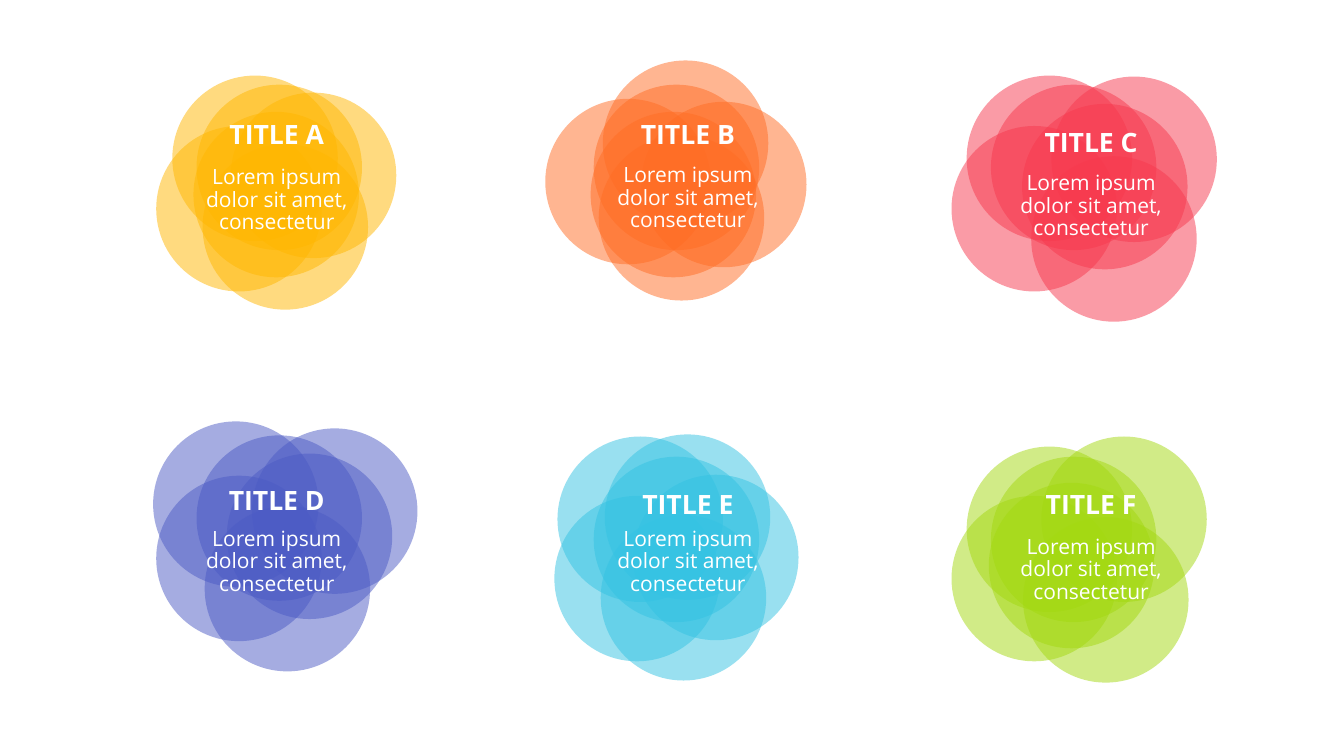
import pptx
import pptx.util
import pptx.dml.color
import pptx.enum.shapes
import pptx.enum.text
import pptx.oxml.ns
from dataclasses import dataclass
from lxml import etree

Pt = pptx.util.Pt
RGB = pptx.dml.color.RGBColor.from_string


@dataclass(frozen=True)
class Theme:
    """Colours, type sizes and font of the slide."""
    gold: str = "FFB700"
    orange: str = "FF6D24"
    red: str = "F7394E"
    blue: str = "4C5BC5"
    cyan: str = "34C3E3"
    lime: str = "A4D911"
    ink: str = "FFFFFF"
    font: str = "Open Sans"
    head: int = 19
    body: int = 15
    lead: float = 0.9
    alpha: int = 50


THEME = Theme()
DISC = 118.2
LEFT, TOP = 100, 40
STEP_X, STEP_Y = 284, 260
COLS = 3
HEAD_W, HEAD_H = 80, 31.7
BODY_W, BODY_H = 117.4, 62
TEXT_X = (39, 48.7, 52.7)
BLURB = "Lorem ipsum dolor sit amet, consectetur"

# title, colour, title top, body top, disc corners; all relative to the cell
BLOBS = [
    ("TITLE A", THEME.gold, 47.1, 75.2,
     [(40.4, 20.5), (64.9, 26.2), (11.6, 50), (23.1, 14), (38.2, 39.9), (44.7, 63)]),
    ("TITLE B", THEME.orange, 47.1, 73.8,
     [(40.1, 20.5), (73.9, 32.7), (5.5, 30.6), (46.6, 3.2), (37.9, 39.9), (43.7, 56.5)]),
    ("TITLE C", THEME.red, 52.9, 79.5,
     [(39.8, 20.5), (62.1, 34.2), (11.7, 50), (22.5, 14), (83, 14.7), (68.6, 71.6)]),
    ("TITLE D", THEME.blue, 48.5, 73.7,
     [(40.4, 11), (62, 24), (11.6, 39.8), (9.4, 1), (80, 6), (46.2, 61.4)]),
    ("TITLE E", THEME.cyan, 51.4, 73.7,
     [(40.1, 26.2), (68.2, 39.1), (12, 54.2), (14.2, 11.8), (48, 10.3), (45.1, 67.9)]),
    ("TITLE F", THEME.lime, 51.4, 79.4,
     [(39.8, 26.2), (75.8, 11.8), (11.7, 54.2), (22.5, 19), (38.3, 44.9), (62.8, 69.4)]),
]


def add_disc(slide, x, y, tint):
    """Add one half-clear disc with its corner at x, y."""
    disc = slide.shapes.add_shape(
        pptx.enum.shapes.MSO_SHAPE.OVAL, Pt(x), Pt(y), Pt(DISC), Pt(DISC))
    disc.shadow.inherit = False
    disc.line.fill.background()
    disc.fill.solid()
    disc.fill.fore_color.rgb = RGB(tint)
    qn = pptx.oxml.ns.qn
    clr = disc.element.spPr.find(qn("a:solidFill")).find(qn("a:srgbClr"))
    etree.SubElement(clr, qn("a:alpha"), val=str(THEME.alpha * 1000))


def add_text(slide, box, text, size, bold=False, pad=(0, 0)):
    """Add one centred paragraph in the given box."""
    frame = slide.shapes.add_textbox(*map(Pt, box)).text_frame
    frame.word_wrap = True
    frame.margin_left = frame.margin_right = Pt(pad[0])
    frame.margin_top = frame.margin_bottom = Pt(pad[1])
    para = frame.paragraphs[0]
    para.alignment = pptx.enum.text.PP_ALIGN.CENTER
    para.line_spacing = THEME.lead
    run = para.add_run()
    run.text = text
    run.font.name = THEME.font
    run.font.size = Pt(size)
    run.font.bold = bold
    run.font.color.rgb = RGB(THEME.ink)


def add_blob(slide, x, y, text_x, blob):
    """Add a cluster of discs, its title and body, in the cell at x, y."""
    title, tint, head_y, body_y, discs = blob
    for dx, dy in discs:
        add_disc(slide, x + dx, y + dy, tint)
    left = x + text_x
    inset = (BODY_W - HEAD_W) / 2
    add_text(slide, (left + inset, y + head_y, HEAD_W, HEAD_H),
             title, THEME.head, bold=True)
    add_text(slide, (left, y + body_y, BODY_W, BODY_H),
             BLURB, THEME.body, pad=(7.2, 3.6))


def build():
    """Build the slide as a grid of clusters and save it."""
    deck = pptx.Presentation()
    deck.slide_width, deck.slide_height = Pt(960), Pt(540)
    slide = deck.slides.add_slide(deck.slide_layouts[6])
    for i, blob in enumerate(BLOBS):
        row, col = divmod(i, COLS)
        add_blob(slide, LEFT + col * STEP_X, TOP + row * STEP_Y, TEXT_X[col], blob)
    deck.save("out.pptx")


build()
